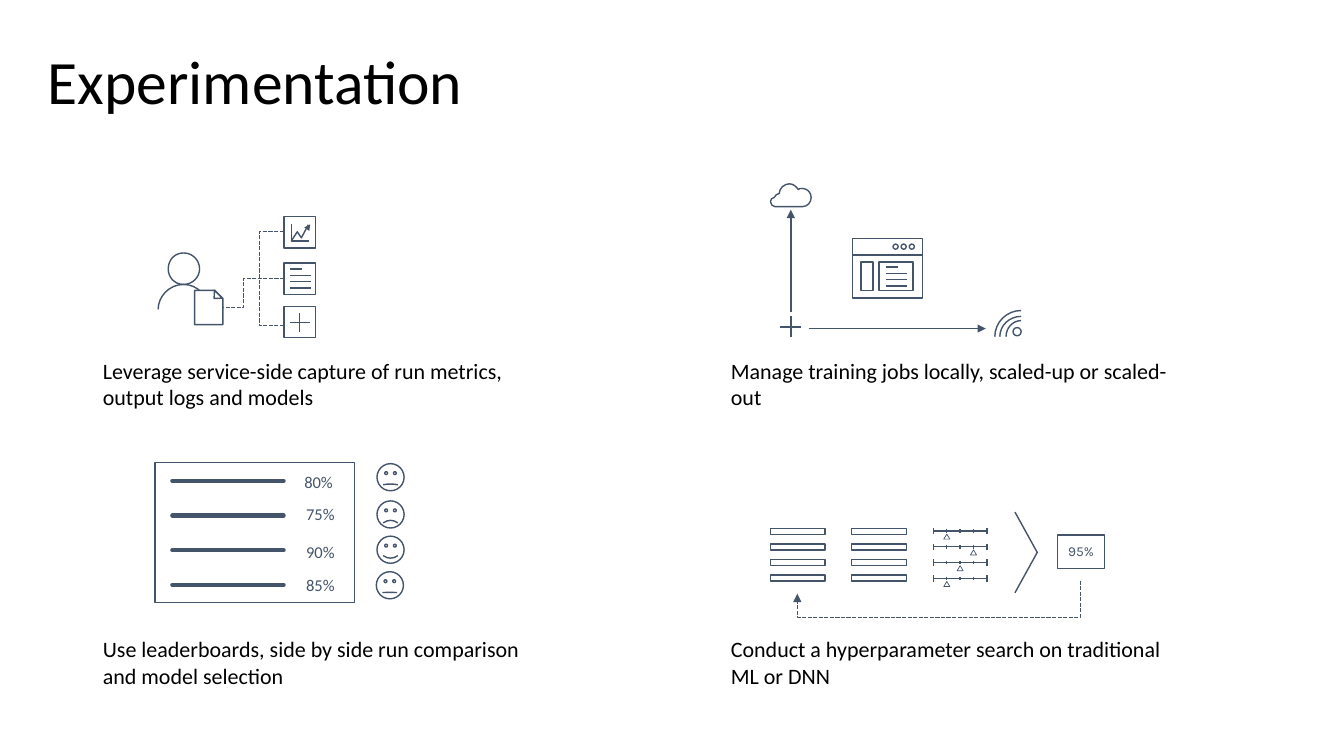
from lxml.etree import SubElement
from pptx import Presentation
from pptx.dml.color import RGBColor
from pptx.enum.dml import MSO_LINE
from pptx.enum.shapes import MSO_CONNECTOR as LINK, MSO_SHAPE as SHAPE
from pptx.enum.text import MSO_ANCHOR, MSO_AUTO_SIZE, PP_ALIGN
from pptx.oxml.ns import qn
from pptx.util import Pt

# Content
COLORS = {"ink": "44546A", "text": "000000", "paper": "FFFFFF"}
TITLE = "Experimentation"
CAPTIONS = [
    (66.4, 251.8, "Leverage service-side capture of run metrics, output logs and models"),
    (515, 251.8, "Manage training jobs locally, scaled-up or scaled-out"),
    (66.4, 450.7, "Use leaderboards, side by side run comparison and model selection"),
    (515, 450.7, "Conduct a hyperparameter search on traditional ML or DNN"),
]
# Score, its left and top, then the face's left, top and smile
RUNS = [
    ("80%", 217.4, 338.4, 269.3, 331.2, -0.013),
    ("75%", 218.7, 361.4, 269.3, 357.8, -0.047),
    ("90%", 218.7, 388.8, 269.3, 383, 0.047),
    ("85%", 218.7, 412.6, 268.8, 408.4, -0.003),
]
SLIDER_STOPS = [1, 3, 2, 1]
# Curves: a start, then two handles and an end for each segment
HEAD = [(120.2, 192.2), (120.2, 185.8), (124.6, 180.7), (131.2, 180.7),
        (137.5, 180.7), (142.6, 185.8), (142.6, 192.2),
        (142.6, 198), (137.5, 203.2), (131.2, 203.2),
        (124.6, 203.2), (120.2, 198), (120.2, 192.2)]
SHOULDERS = [(149, 221), (149, 211.7), (141.1, 203.2), (131.2, 203.2),
             (121, 203.2), (113, 211.7), (113, 221)]
CLOUD = [(573.1, 147.6), (553.7, 147.6), (553.7, 147.6), (553.7, 147.6),
         (552.2, 147.6), (550.3, 146.2), (550.3, 144),
         (550.3, 142.6), (551.5, 141.1), (553, 141.1),
         (553.7, 139.7), (555.1, 138.2), (556.6, 138.2),
         (556.6, 134.6), (560.2, 131.3), (563.8, 131.3),
         (566.6, 131.3), (568.8, 133.2), (570.2, 135.4),
         (571, 134.6), (571.7, 134.6), (573.1, 134.6),
         (576.7, 134.6), (579.4, 137.5), (579.4, 141.1),
         (579.4, 144.7), (576.7, 147.6), (573.1, 147.6)]


def color(name):
    return RGBColor.from_string(COLORS[name])


def paint(shape, fill=None, width=1):
    shape.shadow.inherit = False
    if fill:
        shape.fill.solid()
        shape.fill.fore_color.rgb = color(fill)
    else:
        shape.fill.background()
    if width:
        shape.line.color.rgb = color("ink")
        shape.line.width = Pt(width)
    else:
        shape.line.fill.background()
    return shape


def add(icon, kind, left, top, width, height, fill=None, line=1, turn=0):
    shape = icon.add_shape(kind, Pt(left), Pt(top), Pt(width), Pt(height))
    shape.rotation = turn
    return paint(shape, fill, line)


def link(icon, x1, y1, x2, y2, width=1, arrow=False, bend=None, turn=0, cap=None):
    kind = LINK.STRAIGHT if bend is None else LINK.ELBOW
    line = icon.add_connector(kind, Pt(x1), Pt(y1), Pt(x2), Pt(y2))
    line.line.color.rgb = color("ink")
    line.line.width = Pt(width)
    properties = line._element.spPr
    if bend is not None:
        line.line.dash_style = MSO_LINE.SQUARE_DOT
        guides = properties.find(qn("a:prstGeom")).get_or_add_avLst()
        SubElement(guides, qn("a:gd"), name="adj1", fmla=f"val {round(bend * 100000)}")
    if turn:
        properties.find(qn("a:xfrm")).set("rot", str(turn * 60000))
    if cap:
        properties.find(qn("a:ln")).set("cap", cap)
    if arrow:
        SubElement(properties.find(qn("a:ln")), qn("a:tailEnd"), type="triangle")
    SubElement(properties, qn("a:effectLst"))


def outline(icon, *contours, close=False, curved=False):
    builder = None
    for contour in contours:
        start, *others = [(Pt(x), Pt(y)) for x, y in contour]
        if builder is None:
            builder = icon.build_freeform(*start, scale=1.0)
        else:
            builder.move_to(*start)
        builder.add_line_segments(others, close=close)
    shape = paint(builder.convert_to_shape())
    if curved:
        # Join every three points into one Bezier segment
        steps = list(shape._element.spPr.iter(qn("a:lnTo")))
        for first in range(0, len(steps), 3):
            segment = steps[first]
            segment.tag = qn("a:cubicBezTo")
            for step in steps[first + 1:first + 3]:
                segment.append(step[0])
                step.getparent().remove(step)


def plus(icon, x, y, half):
    link(icon, x, y - half, x, y + half)
    link(icon, x - half, y, x + half, y)


def text_lines(icon, left, top):
    for row in range(4):
        y = top + 4.5 * row
        link(icon, left, y, left + (8.6 if row == 0 else 14.7), y)


def write(frame, text, size, font="Calibri", ink="ink", spacing=0.9, margins=(0, 0, 0, 0)):
    frame.margin_left, frame.margin_top, frame.margin_right, frame.margin_bottom = map(Pt, margins)
    frame.auto_size = MSO_AUTO_SIZE.NONE
    frame.vertical_anchor = MSO_ANCHOR.TOP
    para = frame.paragraphs[0]
    para.text = text
    para.alignment = PP_ALIGN.LEFT
    para.line_spacing = spacing
    para.font.size, para.font.name = Pt(size), font
    para.font.color.rgb = color(ink)
    return para


deck = Presentation()
deck.slide_width, deck.slide_height = Pt(960), Pt(540)
page = deck.slides.add_slide(deck.slide_layouts[5])

# Title and captions
title = page.shapes.title
title.left, title.top, title.width, title.height = Pt(34), Pt(23.6), Pt(893), Pt(60)
write(title.text_frame, TITLE, 44, ink="text", margins=(0, 12.8, 0, 0))
for left, top, text in CAPTIONS:
    box = page.shapes.add_textbox(Pt(left), Pt(top), Pt(332), Pt(45.4))
    box.text_frame.word_wrap = True
    para = write(box.text_frame, text, 15.7, ink="text", spacing=1.0, margins=(7.2, 3.6, 7.2, 3.6))
    para.space_before = Pt(17.6)

# Capture: person with a document, linked to three outputs
capture = page.shapes.add_group_shape().shapes
outline(capture, HEAD, SHOULDERS, curved=True)
document = add(capture, SHAPE.SNIP_1_RECTANGLE, 139, 207.4, 20.2, 24.5, "paper")
document.adjustments[0] = 0.287
add(capture, SHAPE.ISOSCELES_TRIANGLE, 150.5, 209.5, 7.9, 4.3, "paper", turn=225)
for top in (154.8, 187.9, 218.9):
    add(capture, SHAPE.RECTANGLE, 202.9, top, 22.3, 22.3)
outline(capture, [(208.1, 159.8), (208.1, 172.1), (221, 172.1)])
outline(capture, [(208.1, 172.1), (212.4, 165.6), (215.3, 169.9), (220.3, 160.6)])
add(capture, SHAPE.ISOSCELES_TRIANGLE, 218.2, 159.8, 4.3, 4.3, "ink", 0, 34.9)
text_lines(capture, 207.4, 192.2)
plus(capture, 214.1, 230.4, 7)
bracket = add(capture, SHAPE.LEFT_BRACKET, 185.2, 165.6, 17.7, 67)
bracket.adjustments[0] = 0
bracket.line.dash_style = MSO_LINE.SQUARE_DOT
link(capture, 203, 198.9, 159.3, 219.6, bend=0.664)

# Training jobs: up to the cloud, out to the network
jobs = page.shapes.add_group_shape().shapes
link(jobs, 564.9, 223.2, 564.9, 149.8, arrow=True)
link(jobs, 577.6, 234.7, 704.2, 234.7, arrow=True)
plus(jobs, 564.9, 233.5, 7.5)
add(jobs, SHAPE.RECTANGLE, 609.1, 170.6, 49.7, 42.3)
link(jobs, 658.8, 182.2, 609.1, 182.2)
for dot in range(3):
    add(jobs, SHAPE.OVAL, 637.9 + 5.8 * dot, 174.4, 3.6, 3.6)
add(jobs, SHAPE.RECTANGLE, 614.9, 187.2, 8.6, 20.2)
add(jobs, SHAPE.RECTANGLE, 627.8, 187.2, 24.5, 20.2)
text_lines(jobs, 632.9, 190.8)
outline(jobs, CLOUD, close=True, curved=True)
right, bottom = 729.4, 240.5
for left, top in ((718.6, 229), (714.2, 226), (710.6, 221.8)):
    outline(jobs, [(right, top), (right - 0.55 * (right - left), top),
                   (left, bottom - 0.55 * (bottom - top)), (left, bottom)], curved=True)
add(jobs, SHAPE.OVAL, 723.6, 234, 5.8, 5.8)

# Hyperparameter search: bars and sliders lead to a score
search = page.shapes.add_group_shape().shapes
for row, stop in enumerate(SLIDER_STOPS):
    for left in (550.2, 608.4):
        add(search, SHAPE.RECTANGLE, left, 377.4 + 11.1 * row, 39, 4.3)
    y = 379.3 + 11.28 * row
    link(search, 666.7, y, 705.6, y)
    for tick in range(5):
        x = 666.7 + 9.55 * tick
        half = 2.3 if tick in (0, 4) else 1.3
        link(search, x, y - half, x, y + half)
    add(search, SHAPE.ISOSCELES_TRIANGLE, 664.6 + 9.55 * stop, y + 2.2, 4.3, 3.6, line=0.5)
outline(search, [(725, 365.8), (740.9, 394.6), (725, 423.4)])
score = add(search, SHAPE.RECTANGLE, 755.3, 382.3, 33.8, 23.8)
score.text_frame.word_wrap = False
para = write(score.text_frame, "95%", 9.8, "Karla", margins=(7.2, 3.6, 7.2, 3.6))
para.alignment = PP_ALIGN.CENTER
score.text_frame.vertical_anchor = MSO_ANCHOR.MIDDLE
link(search, 666, 318.2, 675.4, 520.6, arrow=True, bend=2.784, turn=90)

# Leaderboard: runs, scores and faces
board = page.shapes.add_group_shape().shapes
add(board, SHAPE.RECTANGLE, 110.7, 330.3, 142.6, 100.1)
for row, (text, left, top, face_left, face_top, smile) in enumerate(RUNS):
    y = 343.5 + 24.75 * row
    link(board, 123.1, y, 202.6, y, 3, cap="rnd")
    label = board.add_textbox(Pt(left), Pt(top), Pt(46.8), Pt(13))
    label.text_frame.word_wrap = True
    write(label.text_frame, text, 11.8)
    face = add(board, SHAPE.SMILEY_FACE, face_left, face_top, 19.4, 19.4)
    face.adjustments[0] = smile

deck.save("out.pptx")
